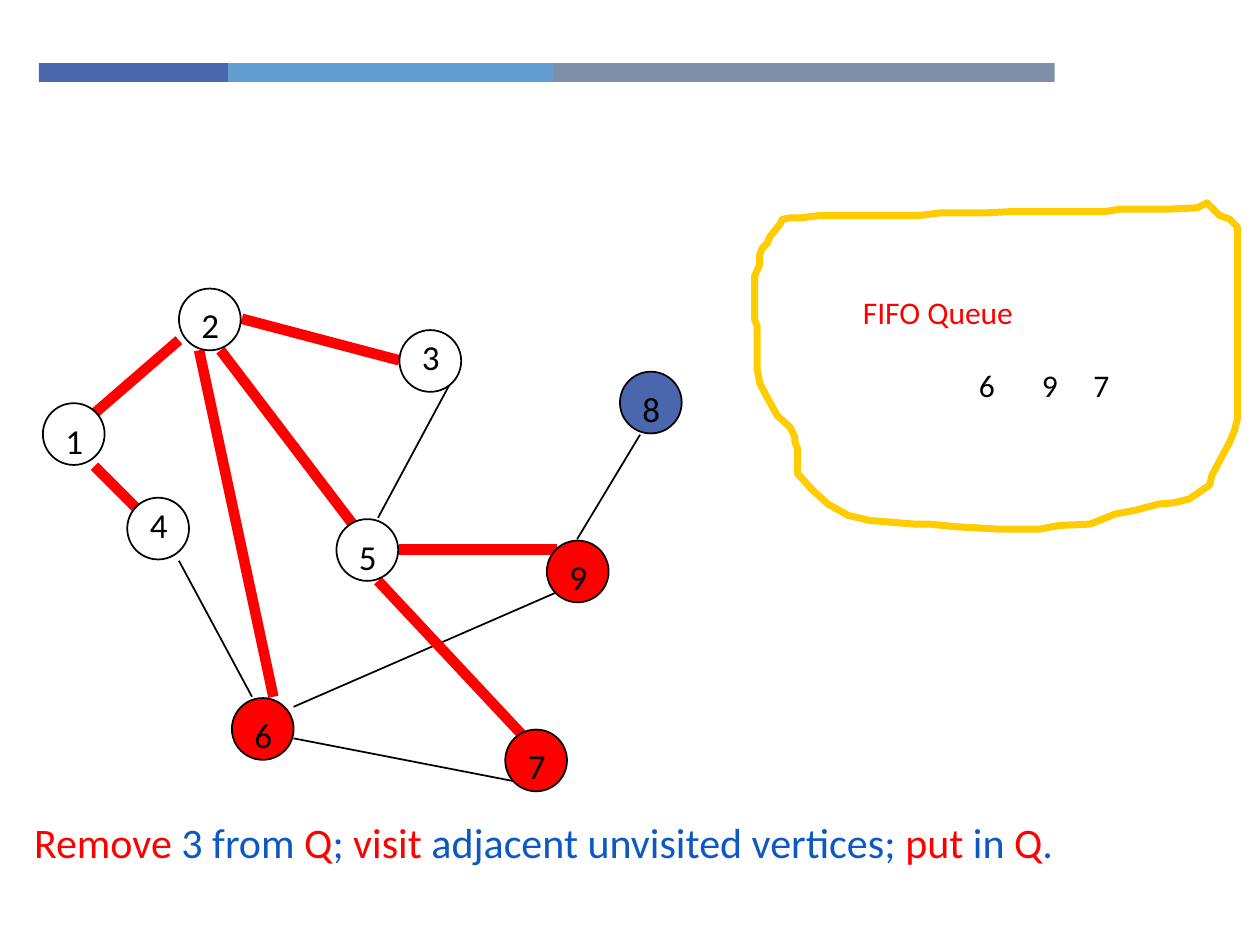
from lxml import etree
from pptx import Presentation
from pptx.dml.color import RGBColor
from pptx.enum import shapes, text
from pptx.oxml import ns
from pptx.util import Inches, Pt

COLOURS = {
    "indigo": "4A66AC", "sky": "629DD1", "slate": "7F8FA9", "red": "FF0000",
    "white": "FFFFFF", "black": "000000", "gold": "FFCC00", "blue": "0E58C4",
}
FONT = "Calibri"
NODE_SIZE = 0.49

BANDS = [(1.5, "indigo"), (2.58, "sky"), (3.98, "slate")]

NODES = [
    ("1", 0.34, 3.2, "white", 0.08), ("2", 1.42, 2.29, "white", 0.07),
    ("3", 3.17, 2.62, "white", -0.01), ("4", 1.01, 3.95, "white", 0),
    ("5", 2.67, 4.12, "white", 0.08), ("6", 1.84, 5.54, "red", 0.07),
    ("7", 4.01, 5.79, "red", 0.07), ("8", 4.92, 2.95, "indigo", 0.08),
    ("9", 4.34, 4.29, "red", 0.07),
]

TREE_EDGES = [
    (1.42, 2.7, 0.75, 3.28), (1.75, 2.78, 2.83, 4.2), (0.75, 3.7, 1.08, 4.03),
    (3, 4.61, 4.17, 5.86), (3.17, 4.36, 4.42, 4.36), (1.92, 2.53, 3.17, 2.86),
    (1.58, 2.78, 2.17, 5.53),
]
OTHER_EDGES = [
    (1.42, 4.45, 2, 5.53), (2.33, 5.86, 4.08, 6.2), (3.58, 3.03, 3, 4.11),
    (5.08, 3.45, 4.58, 4.28), (2.33, 5.61, 4.42, 4.7),
]

QUEUE = [("6", 7.67), ("9", 8.17), ("7", 8.58)]
QUEUE_OUTLINE = [
    (9.58, 1.61), (9.5, 1.65), (9.28, 1.66), (8.89, 1.66), (8.77, 1.68),
    (8.02, 1.68), (7.82, 1.69), (7.46, 1.69), (7.3, 1.71), (6.51, 1.71),
    (6.35, 1.73), (6.27, 1.73), (6.21, 1.74), (6.19, 1.78), (6.11, 1.88),
    (6.09, 1.93), (6.05, 1.97), (6.03, 2.02), (6.03, 2.1), (5.99, 2.19),
    (5.99, 2.54), (6.01, 2.59), (6.01, 2.93), (6.03, 3.04), (6.07, 3.12),
    (6.17, 3.3), (6.27, 3.39), (6.31, 3.47), (6.31, 3.51), (6.33, 3.56),
    (6.33, 3.76), (6.45, 3.89), (6.57, 4), (6.73, 4.09), (6.9, 4.13),
    (7.26, 4.16), (7.38, 4.16), (7.58, 4.18), (7.94, 4.2), (8.25, 4.2),
    (8.41, 4.17), (8.65, 4.16), (8.85, 4.08), (9.01, 4.05), (9.2, 4),
    (9.32, 3.99), (9.44, 3.96), (9.6, 3.85), (9.62, 3.77), (9.7, 3.62),
    (9.76, 3.51), (9.8, 3.41), (9.82, 3.33), (9.82, 1.8), (9.76, 1.74),
    (9.68, 1.71),
]

SENTENCE = [
    ("Remove", "red"), (" 3 from ", "blue"), ("Q", "red"), ("; ", "blue"),
    ("visit", "red"), (" adjacent unvisited vertices; ", "blue"),
    ("put", "red"), (" in ", "blue"), ("Q", "red"), (".", "blue"),
]


def colour(name):
    return RGBColor.from_string(COLOURS[name])


def style_line(line, name, width):
    line.color.rgb = colour(name)
    line.width = Pt(width)


def add_filled(parent, kind, left, top, width, height, fill):
    shape = parent.shapes.add_shape(
        kind, Inches(left), Inches(top), Inches(width), Inches(height))
    shape.shadow.inherit = False
    shape.fill.solid()
    shape.fill.fore_color.rgb = colour(fill)
    shape.line.fill.background()
    return shape


def add_label(parent, words, left, top, width, height, size, name="black"):
    box = parent.shapes.add_textbox(
        Inches(left), Inches(top), Inches(width), Inches(height))
    box.text_frame.word_wrap = True
    para = box.text_frame.paragraphs[0]
    para.text = words
    para.font.name = FONT
    para.font.size = Pt(size)
    para.font.color.rgb = colour(name)


def add_bands(page):
    group = page.shapes.add_group_shape()
    left = 0.31
    for width, fill in BANDS:
        add_filled(group, shapes.MSO_SHAPE.RECTANGLE, left, 0.5, width, 0.15, fill)
        left += width


def add_edge(page, ends, name, width):
    edge = page.shapes.add_connector(
        shapes.MSO_CONNECTOR.STRAIGHT, *[Inches(value) for value in ends])
    style_line(edge.line, name, width)
    etree.SubElement(edge._element.spPr, ns.qn("a:effectLst"))


def add_node(page, number, left, top, fill, drop):
    group = page.shapes.add_group_shape()
    circle = add_filled(group, shapes.MSO_SHAPE.OVAL, left, top,
                        NODE_SIZE, NODE_SIZE, fill)
    style_line(circle.line, "black", 1)
    add_label(group, number, left + 0.08, top + drop, 0.25, 0.43, 20)


def add_queue(page):
    points = [(Inches(x), Inches(y)) for x, y in QUEUE_OUTLINE]
    builder = page.shapes.build_freeform(*points[0])
    builder.add_line_segments(points[1:], close=True)
    outline = builder.convert_to_shape()
    outline.shadow.inherit = False
    outline.fill.background()
    style_line(outline.line, "gold", 4)
    add_label(page, "FIFO Queue", 6.75, 2.28, 3.08, 0.86, 18, "red")
    for number, left in QUEUE:
        add_label(page, number, left, 2.86, 0.42, 0.63, 18)


def fill_sentence(body):
    body.left, body.top = Inches(0.17), Inches(6.43)
    body.width, body.height = Inches(9.83), Inches(0.78)
    frame = body.text_frame
    frame.auto_size = text.MSO_AUTO_SIZE.NONE
    frame.vertical_anchor = text.MSO_ANCHOR.TOP
    para = frame.paragraphs[0]
    para.font.name = FONT
    para.font.size = Pt(24)
    properties = para._p.get_or_add_pPr()
    properties.set("marL", str(Inches(0.5)))
    properties.set("indent", str(Inches(-0.5)))
    properties.insert(0, etree.Element(ns.qn("a:buNone")))
    for words, name in SENTENCE:
        span = para.add_run()
        span.text = words
        span.font.color.rgb = colour(name)


def main():
    deck = Presentation()
    deck.slide_width, deck.slide_height = Inches(10), Inches(7.5)
    page = deck.slides.add_slide(deck.slide_layouts[1])
    title = page.shapes.title._element
    title.getparent().remove(title)
    add_bands(page)
    for ends in OTHER_EDGES:
        add_edge(page, ends, "black", 1)
    for ends in TREE_EDGES:
        add_edge(page, ends, "red", 6)
    for node in NODES:
        add_node(page, *node)
    add_queue(page)
    fill_sentence(page.placeholders[1])
    deck.save("out.pptx")


if __name__ == "__main__":
    main()
